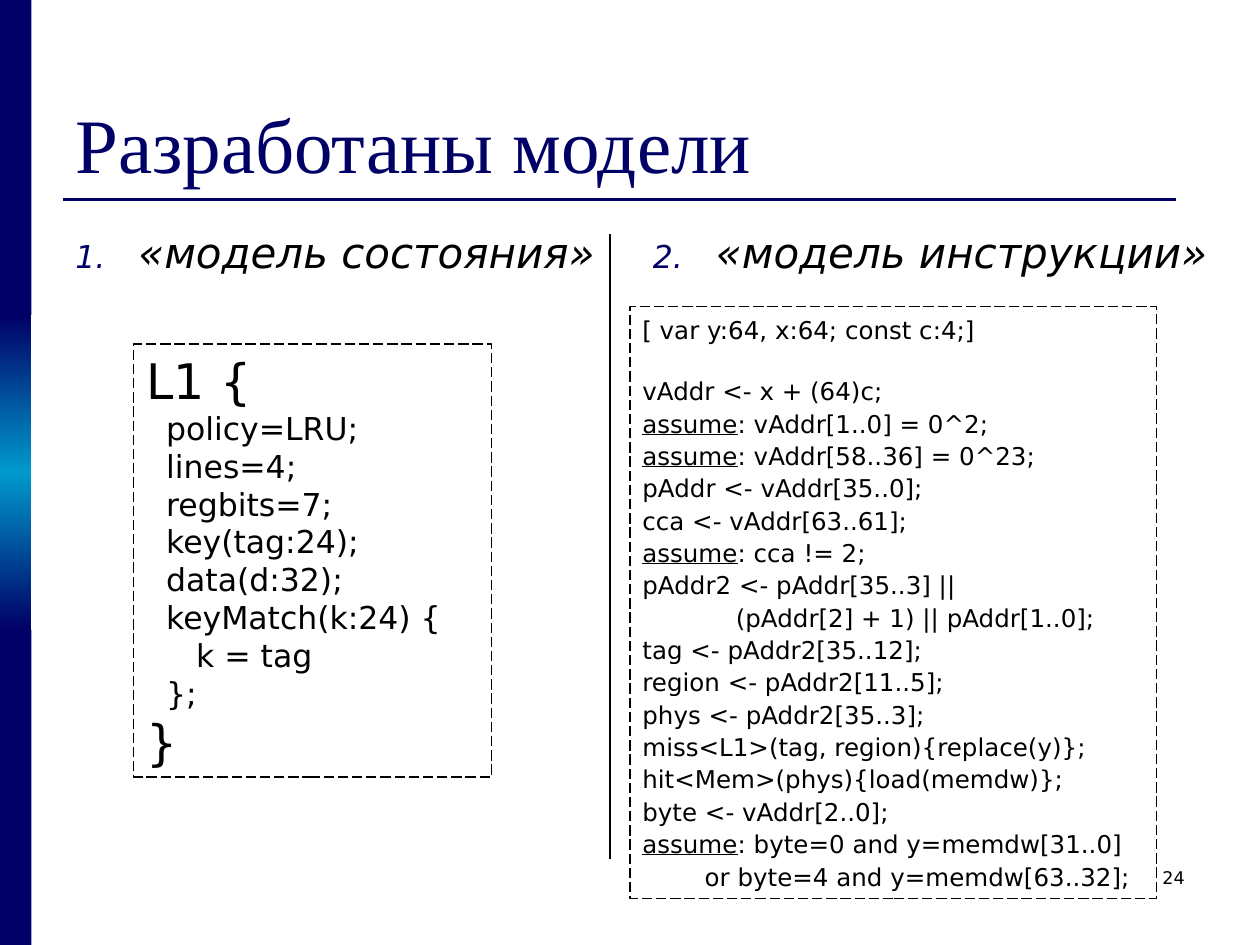
from dataclasses import dataclass

from lxml.etree import SubElement
from pptx import Presentation
from pptx.dml.color import RGBColor
from pptx.enum.dml import MSO_LINE_DASH_STYLE as Dash
from pptx.enum.shapes import MSO_CONNECTOR_TYPE as Connector
from pptx.enum.shapes import MSO_SHAPE as Preset
from pptx.enum.text import MSO_ANCHOR as Anchor
from pptx.enum.text import MSO_AUTO_SIZE as AutoSize
from pptx.enum.text import PP_ALIGN as Align
from pptx.oxml.ns import qn
from pptx.util import Pt

NAVY, CYAN, BLACK = "000066", "0099CC", "000000"
SANS, SERIF = "DejaVu Sans", "Times New Roman"
KEYWORD = "assume"


@dataclass(frozen=True)
class Box:
    left: float
    top: float
    width: float
    height: float

    def lengths(self) -> tuple:
        return Pt(self.left), Pt(self.top), Pt(self.width), Pt(self.height)


@dataclass(frozen=True)
class Style:
    size: float
    font: str = SANS
    color: str = BLACK
    italic: bool = False


@dataclass(frozen=True)
class Heading:
    number: int
    text: str
    box: Box


@dataclass(frozen=True)
class CodeLine:
    text: str
    size: float
    space_after: float = 0


@dataclass(frozen=True)
class Listing:
    box: Box
    lines: list[CodeLine]
    line_spacing: float = 1.0


HEADINGS = [
    Heading(1, "«модель состояния»", Box(36, 126, 318, 356)),
    Heading(2, "«модель инструкции»", Box(366, 126, 334, 356)),
]

STATE_BODY = [
    "  policy=LRU;\n  lines=4;",
    "  regbits=7;",
    "  key(tag:24);",
    "  data(d:32);\n  keyMatch(k:24) {",
    "     k = tag",
    "  };",
]
INSTRUCTION_BODY = [
    "vAddr <- x + (64)c;",
    "assume: vAddr[1..0] = 0^2;",
    "assume: vAddr[58..36] = 0^23;",
    "pAddr <- vAddr[35..0];",
    "cca <- vAddr[63..61];",
    "assume: cca != 2;",
    "pAddr2 <- pAddr[35..3] ||",
    "            (pAddr[2] + 1) || pAddr[1..0];",
    "tag <- pAddr2[35..12];",
    "region <- pAddr2[11..5];",
    "phys <- pAddr2[35..3];",
    "miss<L1>(tag, region){replace(y)};",
    "hit<Mem>(phys){load(memdw)};",
    "byte <- vAddr[2..0];",
    "assume: byte=0 and y=memdw[31..0]",
    "        or byte=4 and y=memdw[63..32];",
]
LISTINGS = [
    Listing(
        Box(76.5, 196.5, 204.5, 247.5),
        [CodeLine("L1 {", 28), *(CodeLine(text, 18) for text in STATE_BODY), CodeLine("}", 28)],
    ),
    Listing(
        Box(360, 175, 301, 338.5),
        [CodeLine("[ var y:64, x:64; const c:4;]", 14, space_after=16.4),
         *(CodeLine(text, 14) for text in INSTRUCTION_BODY)],
        line_spacing=1.1,
    ),
]


def rgb(color: str) -> RGBColor:
    return RGBColor.from_string(color)


def add_run(paragraph, text: str, style: Style, underline: bool = False) -> None:
    run = paragraph.add_run()
    run.text = text
    run.font.size = Pt(style.size)
    run.font.name = style.font
    run.font.color.rgb = rgb(style.color)
    run.font.italic = style.italic
    run.font.underline = underline


def add_text(slide, box: Box, text: str, style: Style, anchor=Anchor.TOP, align=Align.LEFT):
    """Add a one-paragraph text box and return its paragraph."""
    frame = slide.shapes.add_textbox(*box.lengths()).text_frame
    frame.word_wrap = True
    frame.vertical_anchor = anchor
    paragraph = frame.paragraphs[0]
    paragraph.alignment = align
    add_run(paragraph, text, style)
    return paragraph


def add_line(slide, x1: float, y1: float, x2: float, y2: float, color: str, width: float) -> None:
    line = slide.shapes.add_connector(Connector.STRAIGHT, Pt(x1), Pt(y1), Pt(x2), Pt(y2))
    line.line.color.rgb = rgb(color)
    line.line.width = Pt(width)
    SubElement(line._element.spPr, qn("a:effectLst"))


def add_rectangle(slide, box: Box):
    shape = slide.shapes.add_shape(Preset.RECTANGLE, *box.lengths())
    shape.shadow.inherit = False
    return shape


def add_side_band(slide, box: Box, colors: list[str]) -> None:
    """Fill a rectangle with one colour, or top to bottom with several."""
    shape = add_rectangle(slide, box)
    shape.line.fill.background()
    if len(colors) == 1:
        shape.fill.solid()
        shape.fill.fore_color.rgb = rgb(colors[0])
        return
    shape.fill.gradient()
    shape.fill.gradient_angle = 270
    stops = shape._element.spPr.find(qn("a:gradFill")).find(qn("a:gsLst"))
    for stop in list(stops):
        stops.remove(stop)
    for index, color in enumerate(colors):
        position = 100000 * index // (len(colors) - 1)
        stop = SubElement(stops, qn("a:gs"), pos=str(position))
        SubElement(stop, qn("a:srgbClr"), val=color)


def add_heading(slide, heading: Heading) -> None:
    paragraph = add_text(slide, heading.box, heading.text, Style(24, italic=True))
    properties = paragraph._p.get_or_add_pPr()
    properties.set("marL", str(Pt(36)))
    properties.set("indent", str(-Pt(36)))
    bullet_color = SubElement(properties, qn("a:buClr"))
    SubElement(bullet_color, qn("a:srgbClr"), val=NAVY)
    SubElement(properties, qn("a:buSzPct"), val="75000")
    SubElement(properties, qn("a:buFont"), typeface=SANS)
    SubElement(properties, qn("a:buAutoNum"), type="arabicPeriod", startAt=str(heading.number))
    paragraph.space_before = Pt(6 if heading.number > 1 else 6)


def add_code_line(paragraph, line: CodeLine) -> None:
    """Write one code line with its keyword underlined."""
    style = Style(line.size)
    for index, part in enumerate(line.text.split("\n")):
        if index:
            paragraph.add_line_break()
        if part.startswith(KEYWORD):
            add_run(paragraph, KEYWORD, style, underline=True)
            part = part.removeprefix(KEYWORD)
        add_run(paragraph, part, style)


def add_listing(slide, listing: Listing) -> None:
    shape = add_rectangle(slide, listing.box)
    shape.fill.background()
    shape.line.color.rgb = rgb(BLACK)
    shape.line.width = Pt(0.75)
    shape.line.dash_style = Dash.LONG_DASH
    frame = shape.text_frame
    frame.word_wrap = True
    frame.auto_size = AutoSize.SHAPE_TO_FIT_TEXT
    frame.vertical_anchor = Anchor.TOP
    for index, line in enumerate(listing.lines):
        paragraph = frame.add_paragraph() if index else frame.paragraphs[0]
        paragraph.alignment = Align.LEFT
        paragraph.line_spacing = listing.line_spacing
        paragraph.space_after = Pt(line.space_after)
        add_code_line(paragraph, line)


def main() -> None:
    presentation = Presentation()
    presentation.slide_width, presentation.slide_height = Pt(720), Pt(540)
    slide = presentation.slides.add_slide(presentation.slide_layouts[6])

    for index, colors in enumerate([[NAVY], [NAVY, CYAN, NAVY], [NAVY]]):
        add_side_band(slide, Box(0, 180 * index, 18, 180), colors)
    add_line(slide, 36, 114, 672, 114, NAVY, 1.5)
    add_text(slide, Box(36, 21.5, 648, 90), "Разработаны модели", Style(44, SERIF, NAVY), Anchor.BOTTOM)
    for heading in HEADINGS:
        add_heading(slide, heading)
    add_line(slide, 348.5, 134, 348.5, 491, BLACK, 0.75)
    for listing in LISTINGS:
        add_listing(slide, listing)
    add_text(slide, Box(516, 492, 168, 36), "24", Style(10), align=Align.RIGHT)
    presentation.save("out.pptx")


if __name__ == "__main__":
    main()
